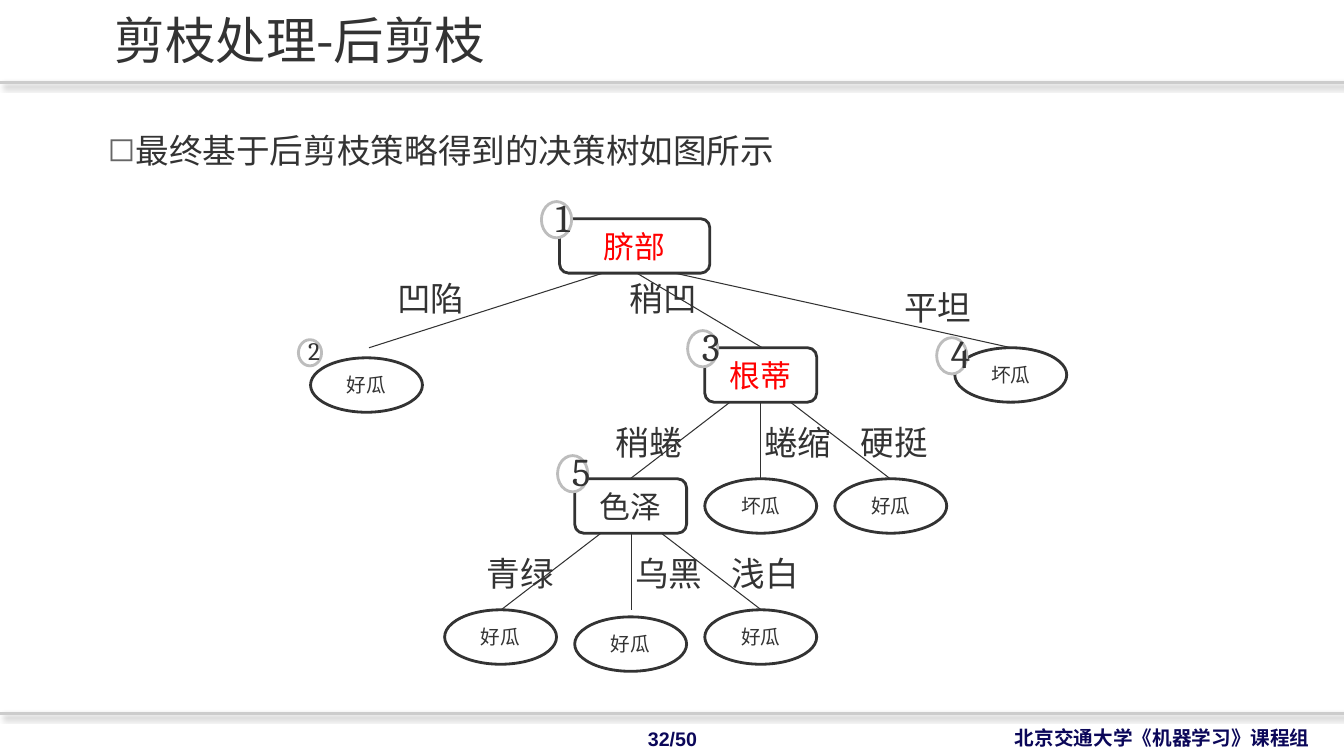
from lxml.etree import SubElement
from pptx import Presentation
from pptx.dml.color import RGBColor
from pptx.enum.shapes import MSO_CONNECTOR as Connector, MSO_SHAPE as Shape
from pptx.enum.text import MSO_ANCHOR as Anchor, MSO_AUTO_SIZE as AutoSize, PP_ALIGN as Align
from pptx.oxml.ns import qn
from pptx.util import Pt

PX = 9144
WHITE = RGBColor(0xFF, 0xFF, 0xFF)
INK = RGBColor(0x33, 0x33, 0x33)
BRANCH = RGBColor(0x32, 0x32, 0x32)
RED = RGBColor(0xFF, 0x00, 0x00)
NAVY = RGBColor(0x0B, 0x07, 0x59)
RULE = RGBColor(0xCC, 0xCC, 0xCC)
BADGE = RGBColor(0xBD, 0xBD, 0xBD)
SANS = "Noto Sans CJK SC"
NODE_HEIGHT = 54
LEAF_WIDTH = 111
SPREAD = 129
LEVEL = 130


class TreeSlide:
    def __init__(self, presentation):
        self.slide = presentation.slides.add_slide(presentation.slide_layouts[6])

    def add_words(self, frame, text, size, font, color=INK, align=Align.LEFT, bold=False):
        paragraph = frame.paragraphs[0]
        paragraph.alignment = align
        run = paragraph.add_run()
        run.text = text
        run.font.size = Pt(size)
        run.font.name = font
        run.font.bold = bold
        run.font.color.rgb = color
        SubElement(run._r.get_or_add_rPr(), qn("a:ea"), typeface=SANS)
        return paragraph

    def text(self, box, text, size, font=SANS, anchor=Anchor.TOP, wrap=True, **style):
        frame = self.slide.shapes.add_textbox(*(n * PX for n in box)).text_frame
        frame.word_wrap = wrap
        frame.vertical_anchor = anchor
        if not wrap:
            frame.auto_size = AutoSize.SHAPE_TO_FIT_TEXT
        return self.add_words(frame, text, size, font, **style)

    def bullet(self, box, text):
        paragraph = self.text(box, text, 24)
        paragraph.line_spacing = 0.95
        properties = paragraph._p.get_or_add_pPr()
        properties.set("marL", str(25 * PX))
        properties.set("indent", str(-39 * PX))
        color = SubElement(properties, qn("a:buClr"))
        SubElement(color, qn("a:srgbClr"), val="666666")
        SubElement(properties, qn("a:buChar"), char="◻")

    def outline(self, kind, box, text, size, font, line=INK, color=INK):
        shape = self.slide.shapes.add_shape(kind, *(n * PX for n in box))
        shape.shadow.inherit = False
        shape.fill.solid()
        shape.fill.fore_color.rgb = WHITE
        shape.line.color.rgb = line
        shape.line.width = Pt(2)
        frame = shape.text_frame
        frame.word_wrap = True
        frame.vertical_anchor = Anchor.MIDDLE
        self.add_words(frame, text, size, font, color, Align.CENTER)
        return frame

    def test(self, center, top, text, color=INK, width=LEAF_WIDTH):
        box = (center - (width + 1) // 2, top, width, NODE_HEIGHT)
        self.outline(Shape.ROUNDED_RECTANGLE, box, text, 22, "Cambria", color=color)

    def leaf(self, center, top, text):
        box = (center - (LEAF_WIDTH + 1) // 2, top, LEAF_WIDTH, NODE_HEIGHT)
        self.outline(Shape.OVAL, box, text, 14, "Arial")

    def badge(self, left, top, number, width=30, height=36, size=28):
        box = (left, top, width, height)
        frame = self.outline(Shape.OVAL, box, number, size, "Cambria", line=BADGE)
        frame.margin_top = 0

    def label(self, left, top, text):
        self.text((left, top, 113, 69), text, 24, wrap=False)

    def line(self, x1, y1, x2, y2, color=BRANCH, width=0.75):
        ends = (n * PX for n in (x1, y1, x2, y2))
        connector = self.slide.shapes.add_connector(Connector.STRAIGHT, *ends)
        connector.line.color.rgb = color
        connector.line.width = Pt(width)
        return SubElement(connector._element.spPr, qn("a:effectLst"))

    def rule(self, y):
        effects = self.line(0, y, 1333, y, RULE, 2)
        shadow = SubElement(effects, qn("a:outerShdw"), blurRad=str(Pt(4)),
                            dist=str(Pt(3)), dir="2700000", algn="tl", rotWithShape="0")
        color = SubElement(shadow, qn("a:srgbClr"), val="000000")
        SubElement(color, qn("a:alpha"), val="40000")

    def fan(self, center, top, labels):
        bottom = top + LEVEL
        for step in (-1, 0, 1):
            start = top + (31 if step else NODE_HEIGHT)
            self.line(center, start, center + step * SPREAD, bottom)
        for offset, text in zip((-153, -6, 90), labels):
            self.label(center + offset, top + 69, text)


def main():
    presentation = Presentation()
    presentation.slide_width = 1333 * PX
    presentation.slide_height = 750 * PX
    tree = TreeSlide(presentation)

    footer = dict(font="Arial", anchor=Anchor.MIDDLE, color=NAVY, bold=True)
    tree.text((888, 715, 421, 34), "北京交通大学《机器学习》课程组", 14,
              align=Align.RIGHT, **footer)
    tree.text((605, 716, 124, 34), "32/50", 14, align=Align.CENTER, **footer)
    for y in (82, 708):
        tree.rule(y)
    title = tree.text((104, 1, 862, 85), "剪枝处理-后剪枝", 36, anchor=Anchor.MIDDLE)
    title.line_spacing = 0.85
    tree.bullet((97, 127, 1236, 539), "最终基于后剪枝策略得到的决策树如图所示")

    root_top = 217
    stem_top = 345
    color_top = stem_top + LEVEL
    last_top = color_top + LEVEL
    stem_center = 755
    color_center = stem_center - SPREAD

    tree.fan(color_center, color_top, ("青绿", "乌黑", "浅白"))
    for step, drop in ((-1, 0), (0, 7), (1, 0)):
        tree.leaf(color_center + step * SPREAD, last_top + drop, "好瓜")
    tree.fan(stem_center - 1, stem_top, ("稍蜷", "蜷缩", "硬挺"))
    tree.test(color_center, color_top, "色泽")
    for step, text in enumerate(("坏瓜", "好瓜")):
        tree.leaf(stem_center + step * SPREAD, color_top, text)

    for start, end in ((601, 366), (630, 756), (665, 1003)):
        tree.line(start, 270, end, stem_top)
    tree.test(stem_center, stem_top, "根蒂", RED)
    tree.leaf(364, 355, "好瓜")
    tree.leaf(1003, stem_top, "坏瓜")
    tree.test(630, root_top, "脐部", RED, 149)
    for left, top, text in ((384, 271, "凹陷"), (615, 271, "稍凹"), (887, 280, "平坦")):
        tree.label(left, top, text)

    tree.badge(296, 337, "2", 23, 26, 18)
    for left, top, number in ((537, 200, "1"), (682, 328, "3"),
                              (929, 335, "4"), (553, 452, "5")):
        tree.badge(left, top, number)

    presentation.save("out.pptx")


if __name__ == "__main__":
    main()
